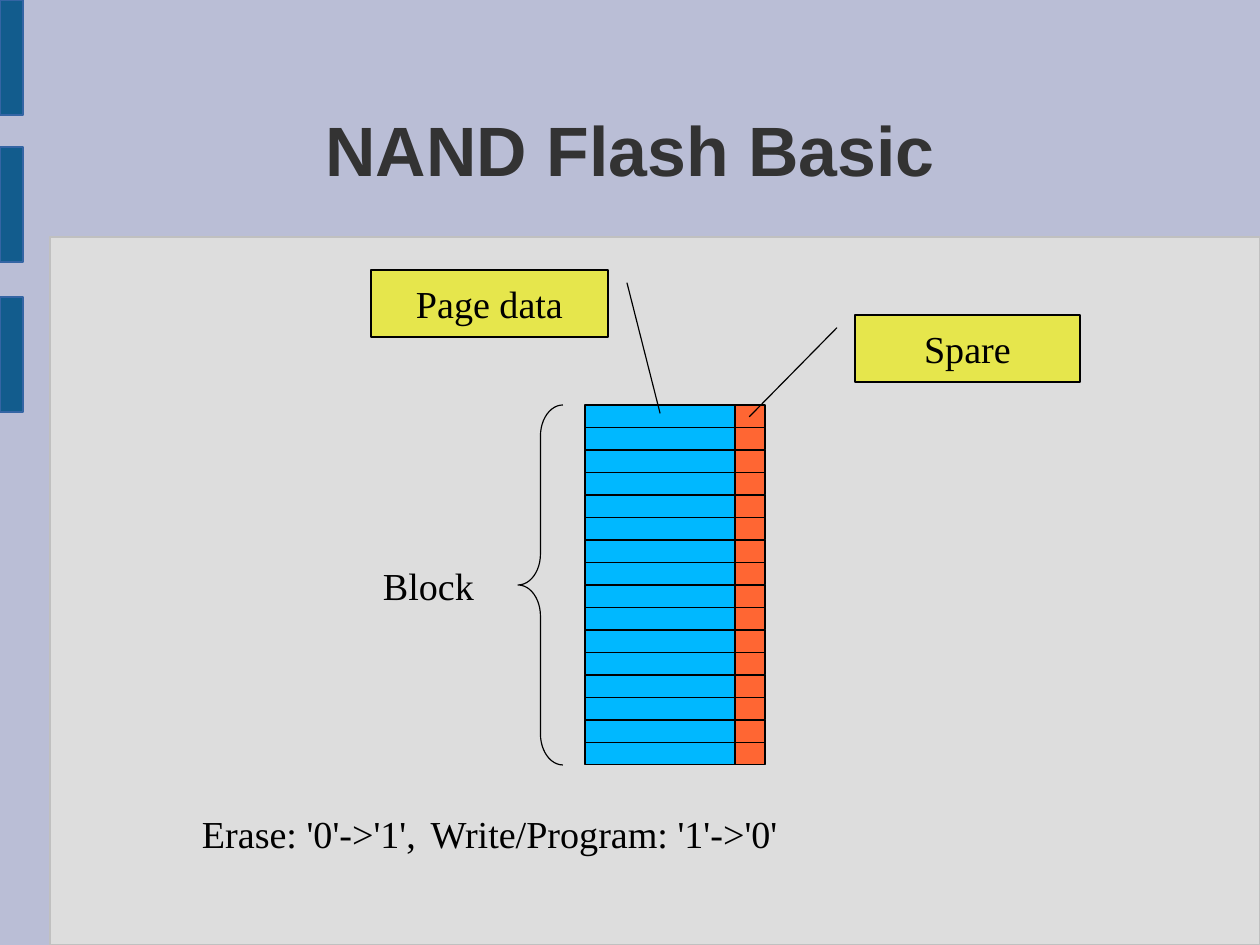
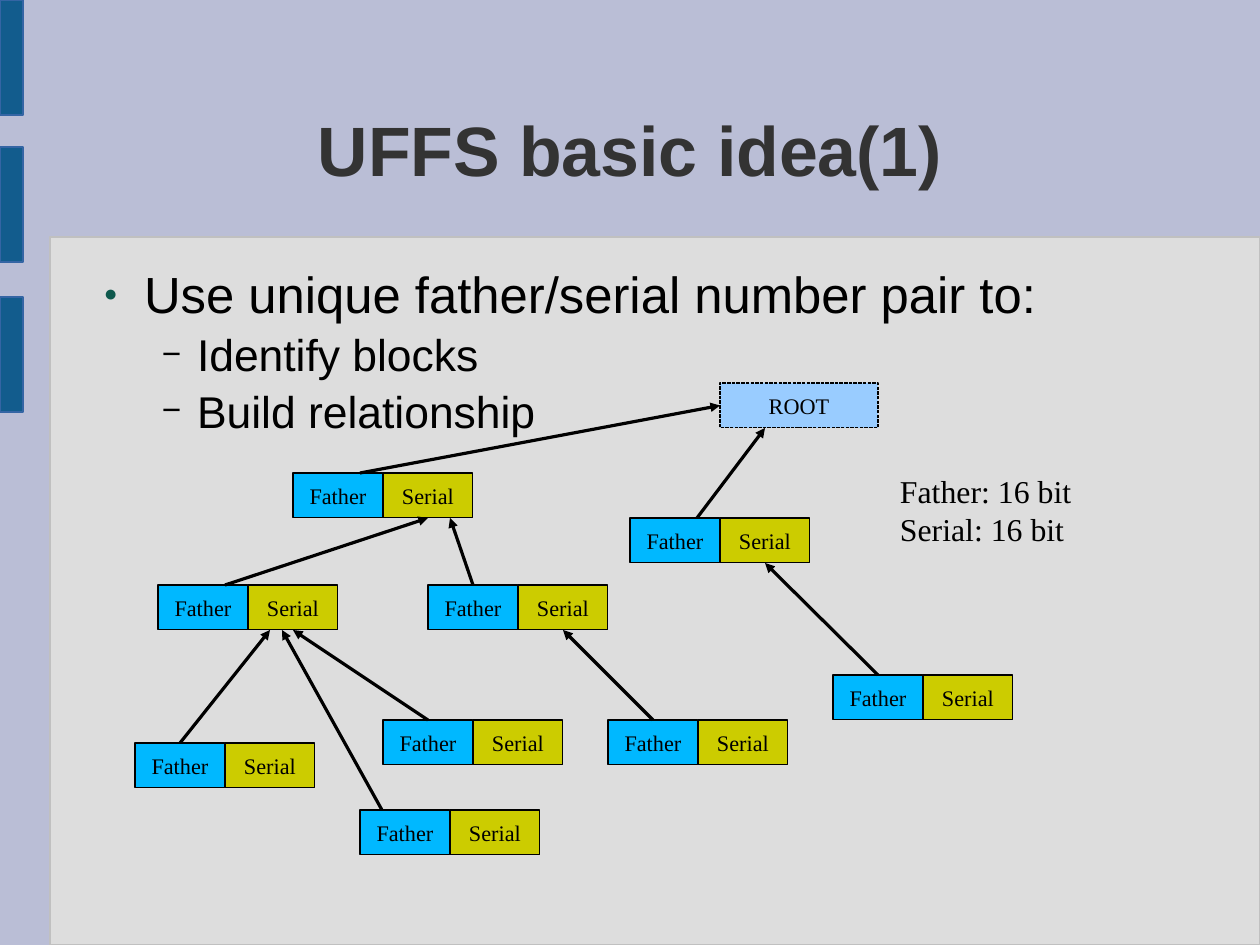
from pptx import Presentation
from pptx.dml.color import RGBColor
from pptx.enum.dml import MSO_LINE
from pptx.enum.shapes import MSO_CONNECTOR, MSO_SHAPE
from pptx.enum.text import MSO_ANCHOR, MSO_AUTO_SIZE, PP_ALIGN
from pptx.oxml.ns import qn
from pptx.util import Emu, Pt
from lxml.etree import SubElement

EMU_PER_PX = 8000
SLIDE_WIDTH, SLIDE_HEIGHT = 1260, 945
HEADING_FONT, LABEL_FONT = "Arial", "Times New Roman"
COLORS = {
    "background": "BABED6",
    "panel": "DDDDDD",
    "panel_edge": "C0C0C0",
    "band": "125C8D",
    "band_edge": "3465A4",
    "title": "333333",
    "ink": "000000",
    "blue": "00B8FF",
    "orange": "FF6633",
    "callout": "E6E64C",
    "olive": "CCCC00",
    "root": "99CCFF",
    "bullet": "0E594D",
}
# Per level: size, left margin, hanging indent, character, colour, bullet percent
BULLET_LEVELS = [
    (32, 54, 40, "●", "bullet", 45),
    (28, 107, 35, "−", "ink", 75),
]


def px(length):
    return Emu(round(length * EMU_PER_PX))


def color(name):
    return RGBColor.from_string(COLORS[name])


class Deck:
    def __init__(self):
        self.prs = Presentation()
        self.prs.slide_width, self.prs.slide_height = px(SLIDE_WIDTH), px(SLIDE_HEIGHT)
        background = self.prs.slide_master.background.fill
        background.solid()
        background.fore_color.rgb = color("background")
        self.slide = None

    def new_slide(self, heading):
        self.slide = self.prs.slides.add_slide(self.prs.slide_layouts[5])
        self.box(50, 237, 1210, 708, "panel", edge="panel_edge")
        for top in (0, 147, 297):
            self.box(0, top, 23, 115, "band", edge="band_edge")
        title = self.slide.shapes.title
        title.left, title.top, title.width, title.height = map(px, (93, 70, 1075, 158))
        self.set_lines(title.text_frame, [heading], 44, HEADING_FONT, "title",
                       PP_ALIGN.CENTER, MSO_ANCHOR.MIDDLE, bold=True)

    def style(self, paragraph, size, font, ink="ink", bold=False):
        paragraph.font.size = Pt(size)
        paragraph.font.name = font
        paragraph.font.bold = bold
        paragraph.font.color.rgb = color(ink)

    def paragraphs(self, frame, lines, anchor=MSO_ANCHOR.TOP):
        """Fill the frame, without insets, and return its paragraphs."""
        frame.word_wrap = True
        frame.auto_size = MSO_AUTO_SIZE.NONE
        frame.vertical_anchor = anchor
        frame.margin_left = frame.margin_right = frame.margin_top = frame.margin_bottom = 0
        frame.text = "\n".join(lines)
        return frame.paragraphs

    def set_lines(self, frame, lines, size, font=LABEL_FONT, ink="ink",
                  align=PP_ALIGN.LEFT, anchor=MSO_ANCHOR.TOP, bold=False):
        for paragraph in self.paragraphs(frame, lines, anchor):
            paragraph.alignment = align
            self.style(paragraph, size, font, ink, bold)

    def box(self, left, top, width, height, fill, label=None, size=14,
            edge="ink", preset=MSO_SHAPE.RECTANGLE):
        shape = self.slide.shapes.add_shape(preset, *map(px, (left, top, width, height)))
        shape.shadow.inherit = False
        if fill:
            shape.fill.solid()
            shape.fill.fore_color.rgb = color(fill)
        else:
            shape.fill.background()
        shape.line.color.rgb = color(edge)
        shape.line.width = 0
        if label:
            self.set_lines(shape.text_frame, [label], size,
                           align=PP_ALIGN.CENTER, anchor=MSO_ANCHOR.MIDDLE)
        return shape

    def callout(self, left, top, width, height, label, leader):
        """leader holds start y, start x, end y, end x as shares of the box."""
        shape = self.box(left, top, width, height, "callout", label, 24,
                         preset=MSO_SHAPE.LINE_CALLOUT_1)
        for index, share in enumerate(leader):
            shape.adjustments[index] = share

    def brace(self, left, top, width, height):
        shape = self.box(left, top, width, height, None, preset=MSO_SHAPE.LEFT_BRACE)
        shape.adjustments[0] = 0.69

    def text_frame(self, left, top, width, height):
        return self.slide.shapes.add_textbox(
            *map(px, (left, top, width, height))).text_frame

    def text(self, left, top, width, height, lines, size, tab=None):
        frame = self.text_frame(left, top, width, height)
        if tab:
            stops = SubElement(frame.paragraphs[0]._p.get_or_add_pPr(), qn("a:tabLst"))
            SubElement(stops, qn("a:tab"), pos=str(px(tab)), algn="l")
        self.set_lines(frame, lines, size)

    def bullets(self, left, top, width, height, items):
        frame = self.text_frame(left, top, width, height)
        lines = [line for _, line in items]
        for (level, _), paragraph in zip(items, self.paragraphs(frame, lines)):
            size, margin, hang, mark, mark_color, percent = BULLET_LEVELS[level]
            paragraph.level = level
            props = paragraph._p.get_or_add_pPr()
            props.set("marL", str(px(margin)))
            props.set("indent", str(-px(hang)))
            SubElement(SubElement(props, qn("a:buClr")), qn("a:srgbClr"),
                       val=COLORS[mark_color])
            SubElement(props, qn("a:buSzPct"), val=str(percent * 1000))
            SubElement(props, qn("a:buFont"), typeface=HEADING_FONT)
            SubElement(props, qn("a:buChar"), char=mark)
            paragraph.space_before = Pt(2 if level else 0)
            self.style(paragraph, size, HEADING_FONT)

    def arrow(self, start, end):
        connector = self.slide.shapes.add_connector(
            MSO_CONNECTOR.STRAIGHT, *map(px, (*start, *end)))
        connector.line.color.rgb = color("ink")
        connector.line.width = 0
        props = connector.element.spPr
        SubElement(props.find(qn("a:ln")), qn("a:tailEnd"), type="triangle")
        SubElement(props, qn("a:effectLst"))


def nand_flash_slide(deck):
    deck.new_slide("NAND Flash Basic")
    block_top, block_height, pages = 405, 360, 16
    page_height = block_height / pages
    for page in range(pages):
        top = block_top + page * page_height
        deck.box(585, top, 150, page_height, "blue")
        deck.box(735, top, 30, page_height, "orange")
    deck.brace(518, block_top, 45, block_height)
    deck.text(383, 562, 135, 53, ["Block"], 24)
    deck.callout(371, 270, 237, 67, "Page data", (0.19, 1.08, 2.14, 1.22))
    deck.callout(855, 315, 225, 67, "Spare", (0.19, -0.08, 1.52, -0.47))
    deck.text(202, 810, 900, 53, ["Erase: '0'->'1',\tWrite/Program: '1'->'0'"], 24, tab=242)


def uffs_idea_slide(deck):
    deck.new_slide("UFFS basic idea(1)")
    deck.bullets(90, 263, 1075, 595, [
        (0, "Use unique father/serial number pair to:"),
        (1, "Identify blocks"),
        (1, "Build relationship"),
    ])
    cell_width, cell_height = 90, 45
    root = (720, 383)
    left_top, right_top = (293, 473), (630, 518)
    left_mid, center_mid = (158, 585), (428, 585)
    leaf_a, leaf_b, leaf_c = (135, 743), (360, 810), (383, 720)
    leaf_d, leaf_e = (608, 720), (833, 675)

    for left, top in (left_top, right_top, left_mid, center_mid,
                      leaf_a, leaf_b, leaf_c, leaf_d, leaf_e):
        deck.box(left, top, cell_width, cell_height, "blue", "Father")
        deck.box(left + cell_width, top, cell_width, cell_height, "olive", "Serial")
    root_box = deck.box(*root, 158, cell_height, "root", "ROOT")
    root_box.line.width = Pt(0.75)
    root_box.line.dash_style = MSO_LINE.SQUARE_DOT

    # Child, offset along its top, parent, offset along its bottom
    links = [
        (left_mid, 67, left_top, 135),
        (center_mid, 45, left_top, 157),
        (leaf_a, 45, left_mid, 112),
        (leaf_b, 22, left_mid, 124),
        (leaf_c, 45, left_mid, 135),
        (leaf_d, 45, center_mid, 135),
        (leaf_e, 45, right_top, 135),
        (right_top, 67, root, 45),
    ]
    for child, child_offset, parent, parent_offset in links:
        deck.arrow((child[0] + child_offset, child[1]),
                   (parent[0] + parent_offset, parent[1] + cell_height))
    deck.arrow((left_top[0] + 67, left_top[1]), (root[0], root[1] + cell_height / 2))
    deck.text(900, 472, 202, 87, ["Father: 16 bit", "Serial: 16 bit"], 20)


def main():
    deck = Deck()
    nand_flash_slide(deck)
    uffs_idea_slide(deck)
    deck.prs.save("out.pptx")


if __name__ == "__main__":
    main()
